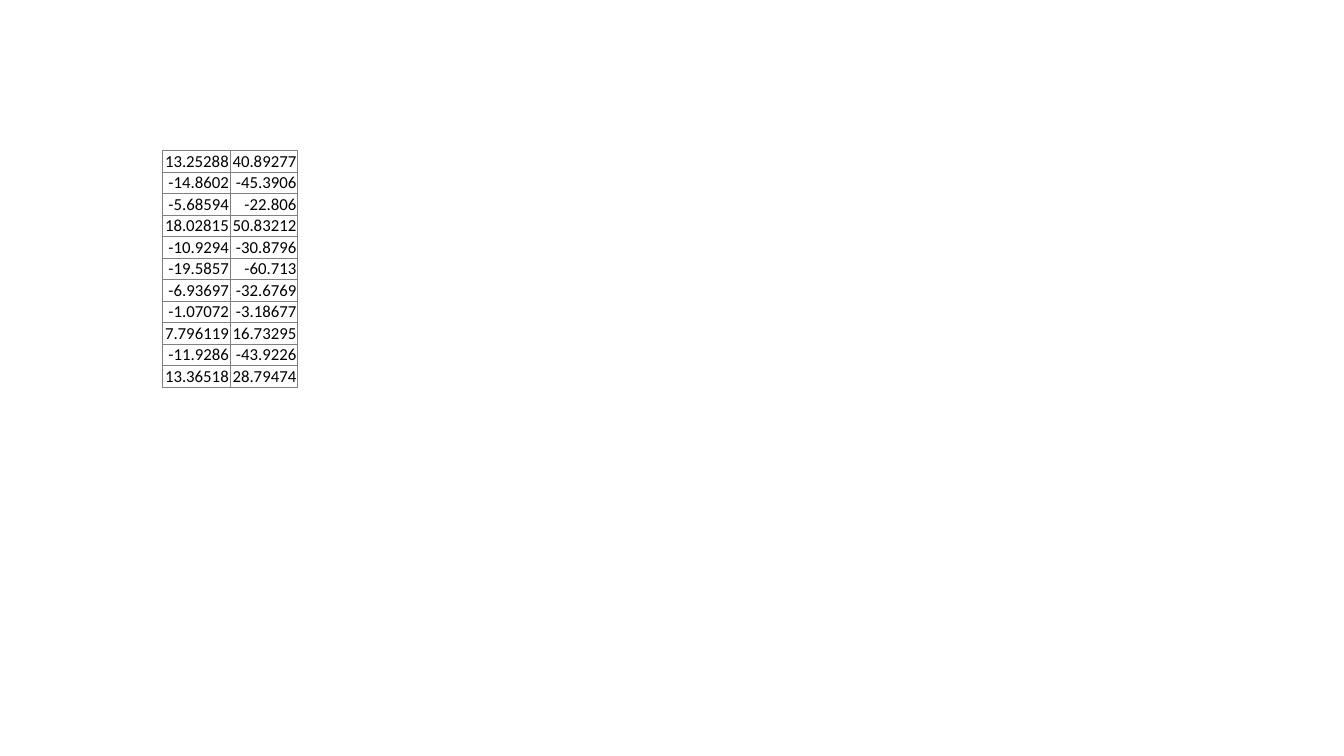
from lxml import etree
from pptx import Presentation
from pptx import util as u
from pptx.dml.color import RGBColor
from pptx.enum import text
from pptx.oxml.ns import qn

WIDE, HIGH = 13.33, 7.5
LEFT, TOP = 1.61, 1.49
COL, ROW = 0.67, 0.21
PAIRS = [
    ("13.25288", "40.89277"),
    ("-14.8602", "-45.3906"),
    ("-5.68594", "-22.806"),
    ("18.02815", "50.83212"),
    ("-10.9294", "-30.8796"),
    ("-19.5857", "-60.713"),
    ("-6.93697", "-32.6769"),
    ("-1.07072", "-3.18677"),
    ("7.796119", "16.73295"),
    ("-11.9286", "-43.9226"),
    ("13.36518", "28.79474"),
]


def color(code):
    """Turn a hex string into a colour."""
    return RGBColor.from_string(code)


def write(frame, words, size=12, font="Calibri", ink="000000",
          align=text.PP_ALIGN.RIGHT):
    """Put one formatted line of text in a frame."""
    line = frame.paragraphs[0]
    line.alignment = align
    run = line.add_run()
    run.text = words
    run.font.size = u.Pt(size)
    run.font.name = font
    run.font.color.rgb = color(ink)


def border(cell, ink="808080", width=0.25):
    """Draw a thin line on all four sides of a cell."""
    props = cell._tc.get_or_add_tcPr()
    for side in ("lnL", "lnR", "lnT", "lnB"):
        edge = etree.SubElement(props, qn("a:" + side), w=str(u.Pt(width)))
        fill = etree.SubElement(edge, qn("a:solidFill"))
        etree.SubElement(fill, qn("a:srgbClr"), val=str(color(ink)))


def fill_cell(cell, words):
    """Set the margins, border and text of one cell."""
    cell.margin_left = cell.margin_right = cell.margin_top = u.Inches(0.01)
    cell.margin_bottom = 0
    cell.vertical_anchor = text.MSO_ANCHOR.BOTTOM
    border(cell)
    cell.fill.background()
    write(cell.text_frame, words)


def add_grid(slide, pairs):
    """Add the table of number pairs with equal columns and rows."""
    rows, cols = len(pairs), len(pairs[0])
    box = [u.Inches(n) for n in (LEFT, TOP, cols * COL, rows * ROW)]
    grid = slide.shapes.add_table(rows, cols, *box).table
    grid.first_row = grid.horz_banding = False
    for col in grid.columns:
        col.width = u.Inches(COL)
    for row, pair in zip(grid.rows, pairs):
        row.height = u.Inches(ROW)
        for cell, words in zip(row.cells, pair):
            fill_cell(cell, words)


def main():
    """Build and save the slide."""
    deck = Presentation()
    deck.slide_width, deck.slide_height = u.Inches(WIDE), u.Inches(HIGH)
    slide = deck.slides.add_slide(deck.slide_layouts[6])
    add_grid(slide, PAIRS)
    deck.save("out.pptx")


main()
